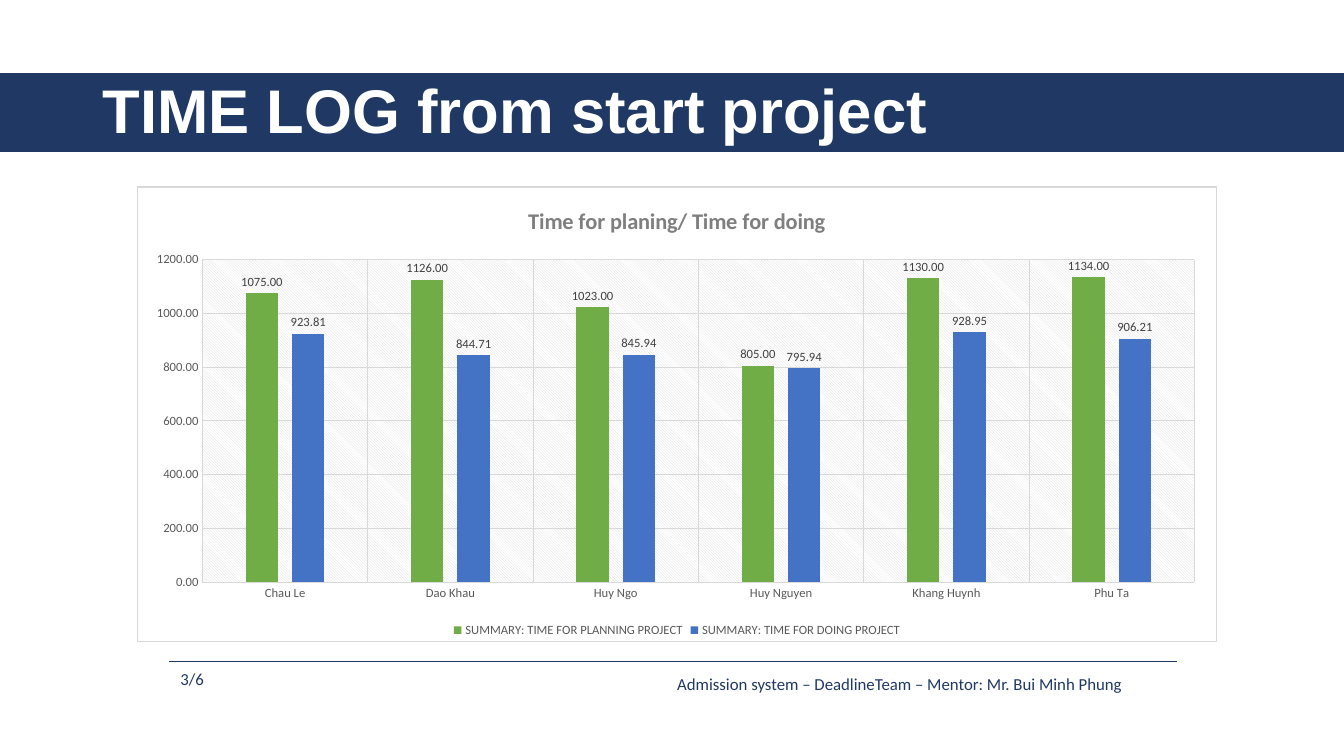
from dataclasses import dataclass

from lxml import etree
from pptx import Presentation
from pptx.chart.data import CategoryChartData
from pptx.dml.color import RGBColor
from pptx.enum.chart import XL_CHART_TYPE, XL_LABEL_POSITION, XL_LEGEND_POSITION, XL_TICK_MARK
from pptx.enum.shapes import MSO_CONNECTOR, MSO_SHAPE
from pptx.enum.text import MSO_ANCHOR, MSO_AUTO_SIZE, PP_ALIGN
from pptx.oxml import parse_xml
from pptx.oxml.ns import nsdecls, qn
from pptx.util import Pt

# Content
TITLE = "TIME LOG from start project"
CHART_TITLE = "Time for planing/ Time for doing"
MEMBERS = ["Chau Le", "Dao Khau", "Huy Ngo", "Huy Nguyen", "Khang Huynh", "Phu Ta"]
SERIES = [
    ("SUMMARY: TIME FOR PLANNING PROJECT", (1075, 1126, 1023, 805, 1130, 1134), "70AD47"),
    ("SUMMARY: TIME FOR DOING PROJECT", (923.81, 844.71, 845.94, 795.94, 928.95, 906.21), "4472C4"),
]
# Footer entries: text, left, top, width, height
FOOTER = [
    ("Admission system – DeadlineTeam – Mentor: Mr. Bui Minh Phung", 476.6, 477.4, 365.8, 21.8),
    ("3/6", 121.7, 474, 36.7, 21.8),
]


@dataclass(frozen=True)
class Theme:
    navy: str = "203864"
    white: str = "FFFFFF"
    grid: str = "D9D9D9"
    axis_text: str = "595959"
    label_text: str = "404040"
    chart_title: str = "7F7F7F"
    heading_font: str = "Arial"
    body_font: str = "Calibri"
    title_size: int = 44
    chart_title_size: int = 16
    footer_size: int = 12
    chart_size: int = 10
    small_size: int = 9


theme = Theme()
WIDTH, HEIGHT = 960, 540
NUMBER_FORMAT = "0.00"


def color(value):
    return RGBColor.from_string(value)


def points(*lengths):
    return [Pt(length) for length in lengths]


def style_font(font, size, value, name=theme.body_font, bold=False):
    font.name, font.size, font.bold = name, Pt(size), bold
    font.color.rgb = color(value)


def style_line(line, value, width):
    line.color.rgb = color(value)
    line.width = Pt(width)


def chart_fill(fill, border=""):
    return parse_xml(f'<c:spPr {nsdecls("c", "a")}>{fill}{border}</c:spPr>')


def solid(value):
    return f'<a:solidFill><a:srgbClr val="{value}"/></a:solidFill>'


deck = Presentation()
deck.slide_width, deck.slide_height = points(WIDTH, HEIGHT)
page = deck.slides.add_slide(deck.slide_layouts[5])

# Title on its band
title = page.shapes.title
title.left, title.top, title.width, title.height = points(66.2, 28.8, 828, 104.4)
frame = title.text_frame
frame.text = TITLE
frame.word_wrap = True
frame.auto_size = MSO_AUTO_SIZE.NONE
frame.vertical_anchor = MSO_ANCHOR.MIDDLE
heading = frame.paragraphs[0]
heading.alignment = PP_ALIGN.LEFT
heading.line_spacing = 0.9
style_font(heading.font, theme.title_size, theme.white, theme.heading_font, True)

band = page.shapes.add_shape(MSO_SHAPE.RECTANGLE, *points(0, 52.5, WIDTH, 55.5))
band.shadow.inherit = False
band.fill.solid()
band.fill.fore_color.rgb = color(theme.navy)
style_line(band.line, theme.navy, 1)
title.element.addprevious(band.element)

# Footer rule and texts
rule = page.shapes.add_connector(MSO_CONNECTOR.STRAIGHT, *points(121, 472.3, 841, 472.3))
style_line(rule.line, theme.navy, 0.5)
etree.SubElement(rule.element.spPr, qn("a:effectLst"))

for text, *place in FOOTER:
    box = page.shapes.add_textbox(*points(*place))
    box.text_frame.word_wrap = True
    box.text_frame.text = text
    style_font(box.text_frame.paragraphs[0].font, theme.footer_size, theme.navy)

# Chart
data = CategoryChartData(number_format=NUMBER_FORMAT)
data.categories = MEMBERS
for name, values, _ in SERIES:
    data.add_series(name, values)
chart = page.shapes.add_chart(
    XL_CHART_TYPE.COLUMN_CLUSTERED, *points(98, 133.2, 771, 325.4), data
).chart
style_font(chart.font, theme.chart_size, "000000")
chart.has_title = True
chart.chart_title.include_in_layout = False
chart.chart_title.text_frame.text = CHART_TITLE
style_font(chart.chart_title.text_frame.paragraphs[0].font,
           theme.chart_title_size, theme.chart_title, bold=True)
chart.has_legend = True
chart.legend.position = XL_LEGEND_POSITION.BOTTOM
chart.legend.include_in_layout = False
style_font(chart.legend.font, theme.small_size, theme.axis_text)

# Axes
for axis in (chart.category_axis, chart.value_axis):
    axis.major_tick_mark = axis.minor_tick_mark = XL_TICK_MARK.NONE
    axis.has_major_gridlines = True
    style_line(axis.major_gridlines.format.line, theme.grid, 0.75)
    style_font(axis.tick_labels.font, theme.small_size, theme.axis_text)
style_line(chart.category_axis.format.line, theme.grid, 0.75)
scale = chart.value_axis
scale.format.line.fill.background()
scale.minimum_scale, scale.maximum_scale, scale.major_unit = 0, 1200, 200
scale.tick_labels.number_format = NUMBER_FORMAT
scale.tick_labels.number_format_is_linked = False

# Columns and value labels
plot = chart.plots[0]
plot.gap_width, plot.overlap, plot.vary_by_categories = 267, -43, False
for series, (_, _, value) in zip(plot.series, SERIES):
    series.format.fill.solid()
    series.format.fill.fore_color.rgb = color(value)
    labels = series.data_labels
    labels.show_value = True
    labels.position = XL_LABEL_POSITION.OUTSIDE_END
    labels.number_format = NUMBER_FORMAT
    labels.number_format_is_linked = False
    style_font(labels.font, theme.small_size, theme.label_text)

# Chart frame, hatched plot area and its place within the frame
border = f'<a:ln w="{Pt(0.75)}">{solid(theme.grid)}</a:ln>'
chart_part = chart.element.find(qn("c:chart"))
chart_part.addnext(chart_fill(solid(theme.white), border))
plot_area = chart_part.find(qn("c:plotArea"))
plot_area.append(chart_fill(
    f'<a:pattFill prst="ltDnDiag"><a:fgClr><a:srgbClr val="{theme.grid}"/></a:fgClr>'
    f'<a:bgClr><a:srgbClr val="{theme.white}"/></a:bgClr></a:pattFill>',
    "<a:ln><a:noFill/></a:ln>"))
for layout in plot_area.findall(qn("c:layout")):
    plot_area.remove(layout)
settings = [("layoutTarget", "inner"), ("xMode", "edge"), ("yMode", "edge"),
            ("x", 0.06), ("y", 0.16), ("w", 0.92), ("h", 0.71)]
entries = "".join(f'<c:{tag} val="{value}"/>' for tag, value in settings)
plot_area.insert(0, parse_xml(
    f'<c:layout {nsdecls("c")}><c:manualLayout>{entries}</c:manualLayout></c:layout>'))

deck.save("out.pptx")
